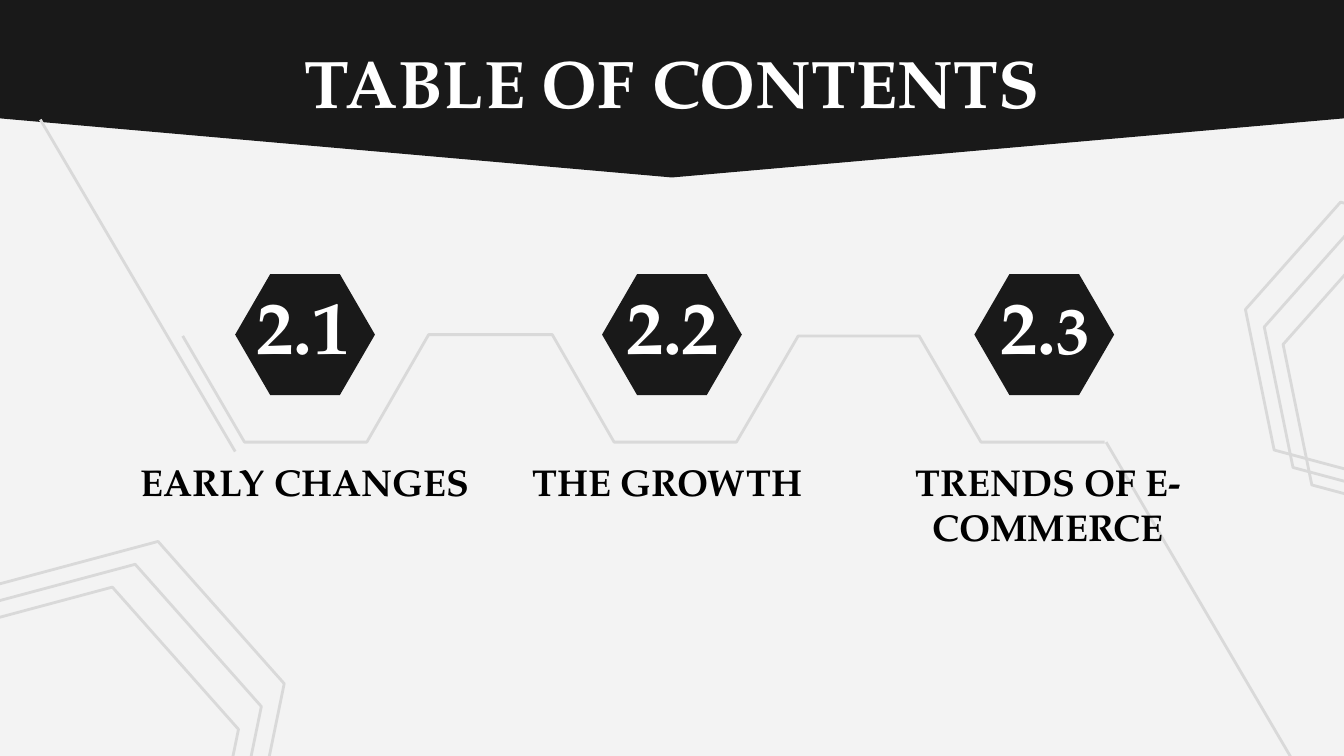
from dataclasses import dataclass

from pptx import Presentation
from pptx.dml.color import RGBColor
from pptx.enum.shapes import MSO_CONNECTOR, MSO_SHAPE
from pptx.enum.text import MSO_ANCHOR, PP_ALIGN
from pptx.oxml import parse_xml
from pptx.oxml.ns import nsdecls
from pptx.shapes.autoshape import Shape
from pptx.slide import Slide
from pptx.text.text import TextFrame
from pptx.util import Inches, Pt

FONT = "TeX Gyre Pagella"
DARK = "191919"
WHITE = "FFFFFF"
BLACK = "000000"
BACKGROUND = "F3F3F3"
OUTLINE = "D9D9D9"
LINE_WIDTH = 1.5


@dataclass(frozen=True)
class Box:
    left: float
    top: float
    width: float
    height: float

    def shifted(self, right: float, down: float) -> "Box":
        return Box(self.left + right, self.top + down, self.width, self.height)

    def lengths(self) -> tuple:
        return tuple(Inches(value) for value in (self.left, self.top, self.width, self.height))


@dataclass(frozen=True)
class Section:
    number_runs: tuple
    label: str
    hexagon_left: float
    number_left: float
    label_box: Box


@dataclass(frozen=True)
class HexagonGroup:
    first: Box
    rotation: float
    step_right: float
    step_down: float


SECTIONS = (
    Section((("2.1", 40),), "EARLY CHANGES", 1.75, 1.67, Box(0.77, 3.37, 3, 0.44)),
    Section((("2.2", 40),), "THE GROWTH", 4.48, 4.42, Box(3.77, 3.37, 2.39, 0.44)),
    Section((("2.", 40), ("3", 36)), "TRENDS OF E-COMMERCE", 7.25, 7.19, Box(6.3, 3.37, 3, 0.77)),
)
HEXAGON_GROUPS = (
    HexagonGroup(Box(9.22, 1.7, 2.72, 1.91), 15, 0.14, 0.13),
    HexagonGroup(Box(-1.06, 4.24, 3.23, 2.53), 345, -0.17, 0.17),
)
ZIGZAG = (
    (8.22, 3.29), (7.3, 3.29), (6.84, 2.5), (5.94, 2.5), (5.48, 3.29), (4.57, 3.29),
    (4.11, 2.49), (3.19, 2.49), (2.73, 3.29), (1.82, 3.29), (1.36, 2.5),
)
DIAGONALS = (((1.75, 3.36), (0.3, 0.89)), ((9.62, 5.66), (8.23, 3.29)))


def color(value: str) -> RGBColor:
    return RGBColor.from_string(value)


def style_outline(shape: Shape) -> None:
    shape.shadow.inherit = False
    shape.fill.background()
    shape.line.color.rgb = color(OUTLINE)
    shape.line.width = Pt(LINE_WIDTH)


def add_hexagon(slide: Slide, box: Box, rotation: float = 0, inset: float = 0.25) -> Shape:
    shape = slide.shapes.add_shape(MSO_SHAPE.HEXAGON, *box.lengths())
    shape.adjustments[0] = inset
    shape.rotation = rotation
    return shape


def add_dark_hexagon(slide: Slide, box: Box, rotation: float, inset: float) -> None:
    shape = add_hexagon(slide, box, rotation, inset)
    shape.shadow.inherit = False
    shape.fill.solid()
    shape.fill.fore_color.rgb = color(DARK)
    shape.line.fill.background()


def add_zigzag(slide: Slide) -> None:
    points = [(Inches(x), Inches(y)) for x, y in ZIGZAG]
    builder = slide.shapes.build_freeform(*points[0])
    builder.add_line_segments(points[1:], close=False)
    style_outline(builder.convert_to_shape())


def add_diagonal(slide: Slide, start: tuple, end: tuple) -> None:
    ends = [Inches(value) for value in (*start, *end)]
    connector = slide.shapes.add_connector(MSO_CONNECTOR.STRAIGHT, *ends)
    connector.line.color.rgb = color(OUTLINE)
    connector.line.width = Pt(LINE_WIDTH)
    connector.element.spPr.append(parse_xml(f"<a:effectLst {nsdecls('a')}/>"))


def write_text(frame: TextFrame, runs: tuple, text_color: str) -> None:
    frame.word_wrap = True
    paragraph = frame.paragraphs[0]
    paragraph.alignment = PP_ALIGN.CENTER
    paragraph.font.name = FONT
    paragraph.font.bold = True
    paragraph.font.color.rgb = color(text_color)
    for text, size in runs:
        run = paragraph.add_run()
        run.text = text
        run.font.size = Pt(size)


def add_text(slide: Slide, box: Box, runs: tuple, text_color: str) -> None:
    write_text(slide.shapes.add_textbox(*box.lengths()).text_frame, runs, text_color)


def place_title(slide: Slide) -> None:
    title = slide.shapes.title
    title.left, title.top, title.width, title.height = Box(2.02, 0.21, 5.96, 0.75).lengths()
    frame = title.text_frame
    frame.margin_left = frame.margin_right = Inches(0.1)
    frame.margin_top = frame.margin_bottom = Inches(0.1)
    frame.vertical_anchor = MSO_ANCHOR.TOP
    write_text(frame, (("TABLE OF CONTENTS", 36),), WHITE)
    slide.shapes.element.append(title.element)


def main() -> None:
    presentation = Presentation()
    presentation.slide_width = Pt(720)
    presentation.slide_height = Pt(405)
    slide = presentation.slides.add_slide(presentation.slide_layouts[5])
    slide.background.fill.solid()
    slide.background.fill.fore_color.rgb = color(BACKGROUND)

    add_dark_hexagon(slide, Box(1.72, -6.96, 6.56, 10), 270, 0.44 / 6.56)
    for section in SECTIONS:
        add_dark_hexagon(slide, Box(section.hexagon_left, 2.04, 1.04, 0.9), 0, 0.29)
    add_zigzag(slide)
    for start, end in DIAGONALS:
        add_diagonal(slide, start, end)
    place_title(slide)
    for group in HEXAGON_GROUPS:
        for index in range(3):
            box = group.first.shifted(index * group.step_right, index * group.step_down)
            style_outline(add_hexagon(slide, box, group.rotation))
    for section in SECTIONS:
        add_text(slide, section.label_box, ((section.label, 20),), BLACK)
        add_text(slide, Box(section.number_left, 2.03, 1.17, 0.77), section.number_runs, WHITE)

    presentation.save("out.pptx")


if __name__ == "__main__":
    main()
